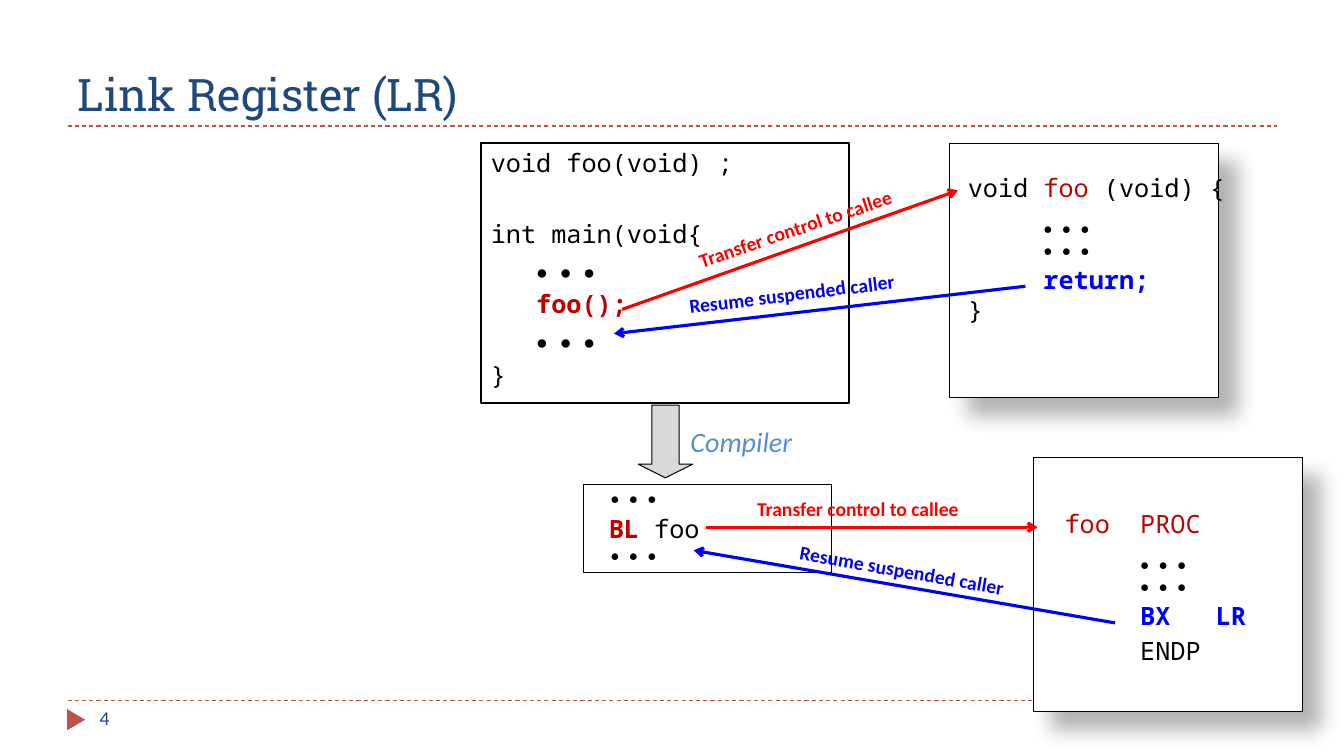
import pptx
import pptx.util
import pptx.dml.color
import pptx.enum.dml
import pptx.enum.shapes
import pptx.enum.text
import pptx.oxml
import lxml.etree

inches = pptx.util.Inches
pt = pptx.util.Pt
color = pptx.dml.color.RGBColor.from_string
shape_kind = pptx.enum.shapes.MSO_SHAPE
anchor = pptx.enum.text.MSO_ANCHOR
DRAWING = "http://schemas.openxmlformats.org/drawingml/2006/main"

BLACK, WHITE, NAVY, BRICK = "000000", "FFFFFF", "1F497D", "C0504D"
DARK_RED, RED, BLUE = "C00000", "FF0000", "0000FF"
CODE_FONT, CODE_SIZE, DOT_SIZE = "Noto Sans Mono", 18, 11
COLUMN = 0.15  # width in inches of one code character
DOTS = "● ● ●"

deck = pptx.Presentation()
deck.slide_width, deck.slide_height = inches(13.33), inches(7.5)
slide = deck.slides.add_slide(deck.slide_layouts[5])
shapes = slide.shapes


def add_line(start, end, hue, width):
    line = shapes.add_connector(pptx.enum.shapes.MSO_CONNECTOR.STRAIGHT,
                                *[inches(v) for v in (*start, *end)])
    line.line.color.rgb = color(hue)
    line.line.width = pt(width)
    lxml.etree.SubElement(line._element.spPr, f"{{{DRAWING}}}effectLst")
    return line


def write_code(frame, lines):
    """Each line is (indent in columns, line size, blank lines before, runs)."""
    frame.word_wrap = True
    frame.vertical_anchor = anchor.TOP
    for number, (indent, line_size, blanks, runs) in enumerate(lines):
        row = frame.paragraphs[0] if number == 0 else frame.add_paragraph()
        row.alignment = pptx.enum.text.PP_ALIGN.LEFT
        row.line_spacing = pt(round(line_size * 1.17, 1))
        row.space_before = pt(round(line_size * (0.23 + 1.4 * blanks), 1))
        row._p.get_or_add_pPr().set("marL", str(inches(indent * COLUMN)))
        for words, size, hue, bold in runs:
            run = row.add_run()
            run.text = words
            run.font.name = CODE_FONT
            run.font.size = pt(size)
            run.font.bold = bold
            run.font.color.rgb = color(hue)


# Title, rules and page number
title = shapes.title
title.left, title.top, title.width, title.height = [inches(v) for v in (0.67, 0.25, 12, 1)]
title.text_frame.text = "Link Register (LR)"
title.text_frame.vertical_anchor = anchor.BOTTOM
heading = title.text_frame.paragraphs[0]
heading.alignment = pptx.enum.text.PP_ALIGN.LEFT
heading.runs[0].font.name = "Roboto Slab"
heading.runs[0].font.size = pt(32)
heading.runs[0].font.color.rgb = color(NAVY)

for rule_y in (1.25, 6.95):
    rule = add_line((0.67, rule_y), (12.67, rule_y), BRICK, 0.75)
    rule.line.dash_style = pptx.enum.dml.MSO_LINE.DASH

# Code boxes, compiler arrow and page marker
outlines = []
for kind, area, fill, border, width in (
    (shape_kind.ISOSCELES_TRIANGLE, (0.65, 7.05, 0.21, 0.18), BRICK, None, 0),
    (shape_kind.RECTANGLE, (4.77, 1.42, 3.65, 2.58), WHITE, BLACK, 1),
    (shape_kind.RECTANGLE, (5.79, 4.81, 2.46, 0.87), None, BLACK, 1),
    (shape_kind.DOWN_ARROW, (6.33, 4.02, 0.54, 0.72), "D9D9D9", BLACK, 0.75),
    (shape_kind.RECTANGLE, (9.42, 1.42, 2.67, 2.52), WHITE, BLACK, 0.75),
    (shape_kind.RECTANGLE, (10.25, 4.54, 2.67, 2.52), WHITE, BLACK, 0.75),
):
    outline = shapes.add_shape(kind, *[inches(v) for v in area])
    outline.shadow.inherit = False
    if fill:
        outline.fill.solid()
        outline.fill.fore_color.rgb = color(fill)
    else:
        outline.fill.background()
    if border:
        outline.line.color.rgb = color(border)
        outline.line.width = pt(width)
    else:
        outline.line.fill.background()
    outlines.append(outline)

page_marker, caller_c, caller_asm, compiler_arrow, callee_c, callee_asm = outlines
page_marker.rotation = 90
compiler_arrow.adjustments[1] = 0.25

for callee in (callee_c, callee_asm):
    effects = callee._element.spPr.find(f"{{{DRAWING}}}effectLst")
    effects.append(pptx.oxml.parse_xml(
        f'<a:outerShdw xmlns:a="{DRAWING}" blurRad="{pt(15)}" dist="{pt(18)}" '
        f'dir="{45 * 60000}" algn="tl" rotWithShape="0"><a:srgbClr val="{BLACK}">'
        '<a:alpha val="30000"/></a:srgbClr></a:outerShdw>'))

# Code listings
large_dots = (3, CODE_SIZE, 0, [(DOTS, 14, BLACK, False)])
small_dots = [(DOTS, DOT_SIZE, BLACK, False)]
body_dots = [(5, CODE_SIZE, 0, small_dots), (5, DOT_SIZE, 0, small_dots)]
closing_brace = (0, CODE_SIZE, 0, [("}", CODE_SIZE, BLACK, False)])

write_code(caller_c.text_frame, [
    (0, CODE_SIZE, 0, [("void foo(void) ;", CODE_SIZE, BLACK, False)]),
    (0, CODE_SIZE, 1, [("int main(void{", CODE_SIZE, BLACK, False)]),
    large_dots,
    (3, CODE_SIZE, 0, [("foo();", CODE_SIZE, DARK_RED, True)]),
    large_dots,
    closing_brace,
])
write_code(caller_asm.text_frame, [
    (1.1, DOT_SIZE, 0, small_dots),
    (1, CODE_SIZE, 0, [("BL ", CODE_SIZE, DARK_RED, True), ("foo", CODE_SIZE, BLACK, False)]),
    (1.1, DOT_SIZE, 0, small_dots),
])
callee_c_code = shapes.add_textbox(*[inches(v) for v in (9.5, 1.67, 2.79, 1.66)])
write_code(callee_c_code.text_frame, [
    (0, CODE_SIZE, 0, [("void ", CODE_SIZE, BLACK, False), ("foo", CODE_SIZE, DARK_RED, False),
                       (" (void) {", CODE_SIZE, BLACK, False)]),
    *body_dots,
    (5, CODE_SIZE, 0, [("return;", CODE_SIZE, BLUE, True)]),
    closing_brace,
])
callee_c_code.text_frame.paragraphs[-1].space_before = pt(0)
callee_asm_code = shapes.add_textbox(*[inches(v) for v in (10.46, 5, 2.79, 2.02)])
write_code(callee_asm_code.text_frame, [
    (0, CODE_SIZE, 0, [("foo  PROC", CODE_SIZE, DARK_RED, False)]),
    *body_dots,
    (5, CODE_SIZE, 0, [("BX   LR", CODE_SIZE, BLUE, True)]),
    (5, CODE_SIZE, 0, [("ENDP", CODE_SIZE, BLACK, False)]),
])

# Control flow arrows
for start, end, hue in (
    ((6.17, 3.07), (9.5, 1.89), RED),
    ((10.17, 2.84), (6.09, 3.31), BLUE),
    ((7, 5.23), (10.29, 5.23), RED),
    ((11.06, 6.18), (6.88, 5.46), BLUE),
):
    flow = add_line(start, end, hue, 2.25)
    lxml.etree.SubElement(flow.line._get_or_add_ln(), f"{{{DRAWING}}}tailEnd", type="arrow")

# Labels
transfer, resume = "Transfer control to callee", "Resume suspended caller"
for words, area, angle, size, hue, bold, italic in (
    ("4", (0.89, 6.95, 2.89, 0.4), 0, 14, NAVY, False, False),
    ("Compiler", (6.75, 4.16, 1.42, 0.43), 0, 20, "558ED5", False, True),
    (transfer, (6.78, 2.05, 2.51, 0.34), 341.3, 14, RED, True, False),
    (resume, (6.73, 2.73, 2.51, 0.34), 353, 14, BLUE, True, False),
    (transfer, (7.41, 4.88, 2.51, 0.34), 0, 14, RED, True, False),
    (resume, (7.82, 5.51, 2.51, 0.34), 9.9, 14, BLUE, True, False),
):
    label = shapes.add_textbox(*[inches(v) for v in area])
    label.rotation = angle
    label.text_frame.word_wrap = True
    label.text_frame.text = words
    font = label.text_frame.paragraphs[0].runs[0].font
    font.name, font.size, font.bold, font.italic = "Calibri", pt(size), bold, italic
    font.color.rgb = color(hue)

deck.save("out.pptx")
